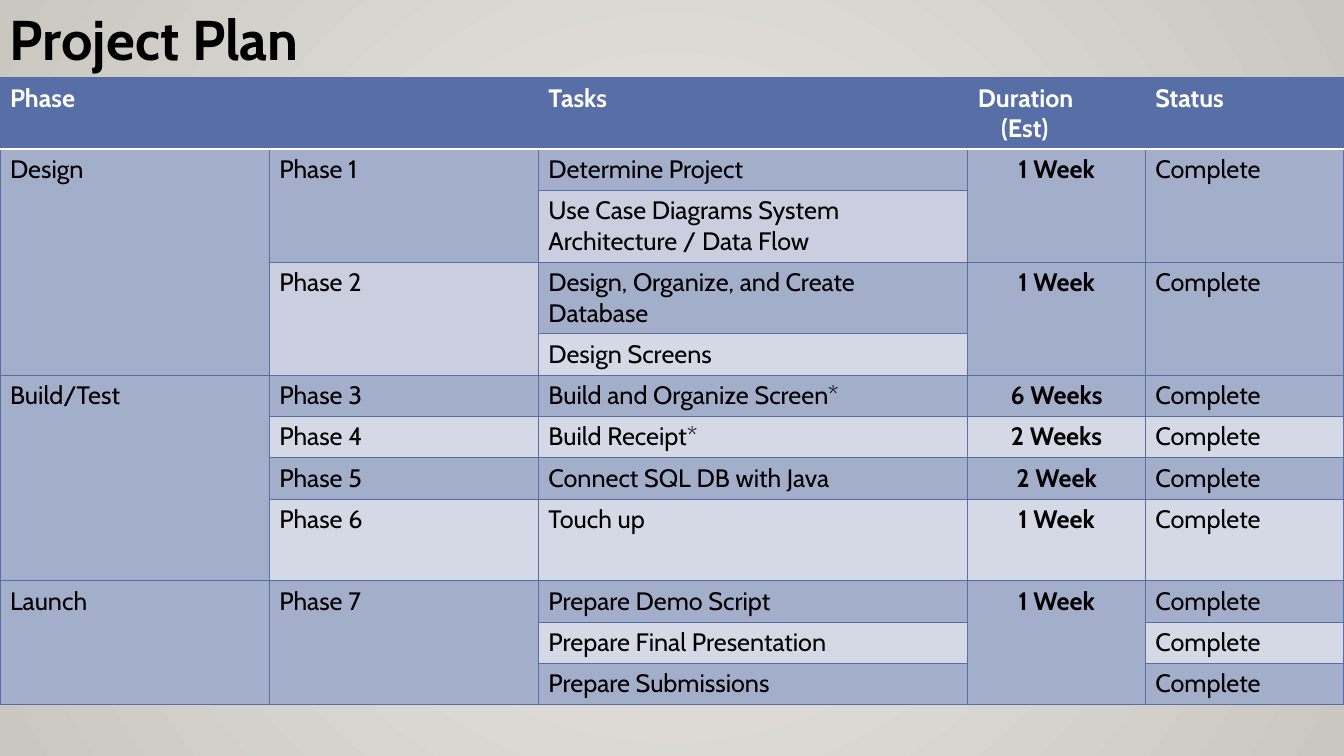
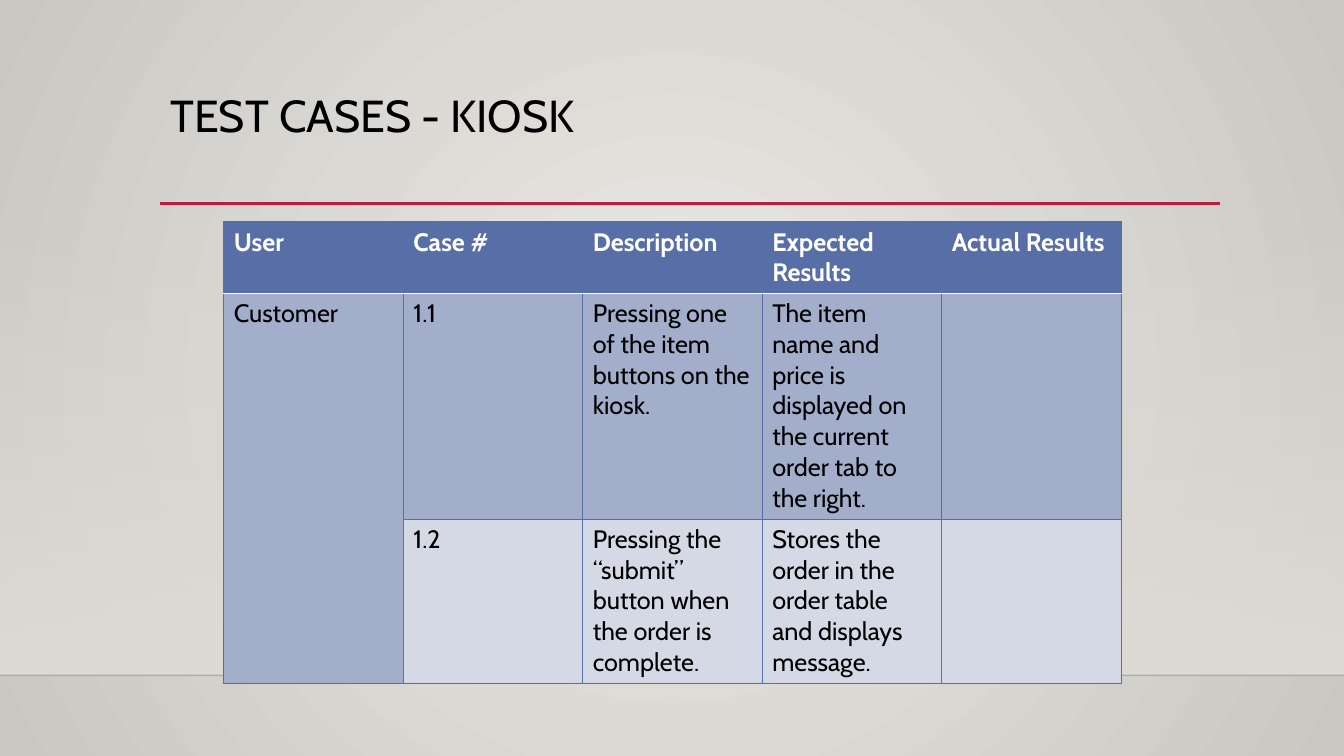
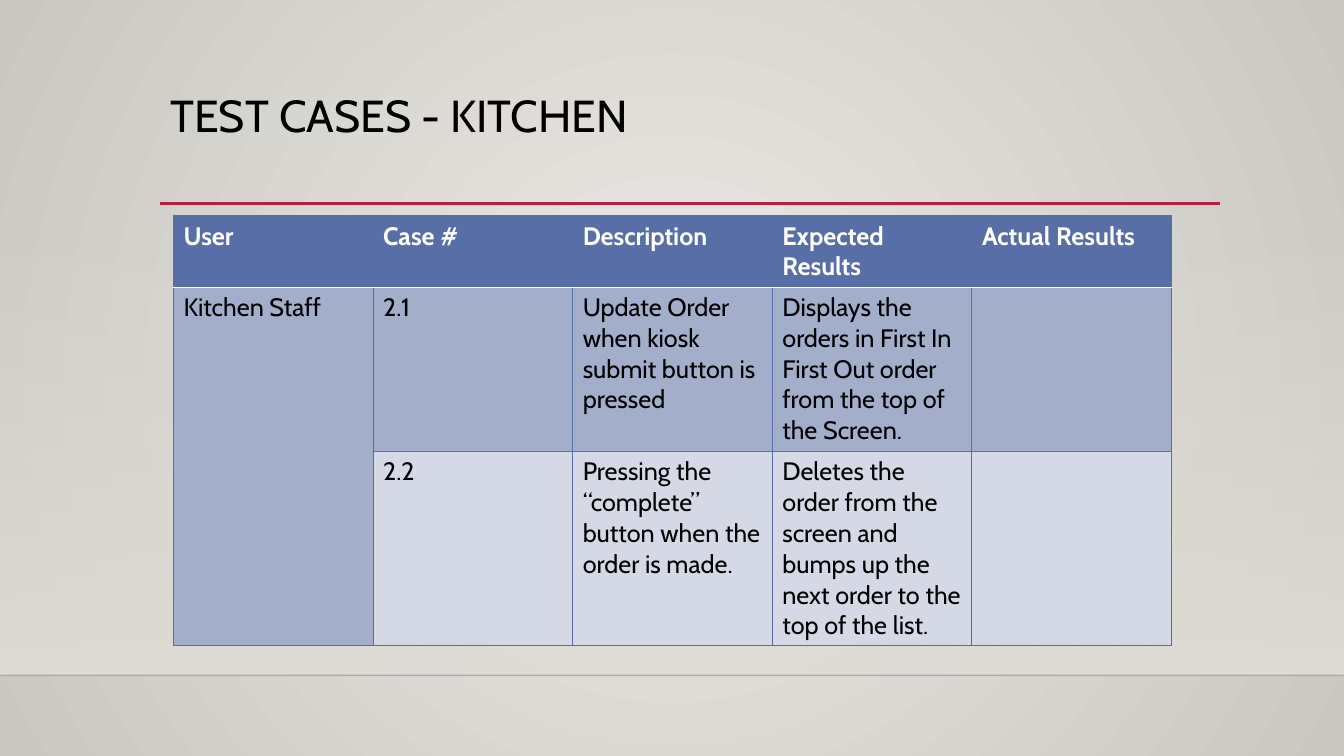
"""Build the project plan and test case slides."""
from dataclasses import dataclass

from lxml.etree import SubElement
from pptx import Presentation
from pptx.dml.color import RGBColor
from pptx.enum.shapes import MSO_CONNECTOR, MSO_SHAPE
from pptx.enum.text import MSO_ANCHOR, PP_ALIGN
from pptx.oxml import parse_xml
from pptx.oxml.ns import nsdecls, qn
from pptx.util import Inches, Pt


@dataclass(frozen=True)
class Theme:
    """Hold the colours and type sizes that all slides share."""

    font: str = "Cabin"
    text: str = "000000"
    header_text: str = "FFFFFF"
    accent: str = "586EA6"
    band_dark: str = "A3AECB"
    band_light: str = "D5D9E5"
    band_middle: str = "CACEDE"
    rule: str = "B71E42"
    floor_line: str = "000001"
    wall: str = "DFDBD5"
    glow: str = "ECEAE7"
    edge: str = "CAC7C1"
    plan_title_size: int = 40
    title_size: int = 32
    table_size: int = 18
    border_width: float = 0.75
    header_border_width: float = 1.25


THEME = Theme()
TEST_HEADER = ("User", "Case #", "Description", "Expected Results", "Actual Results")
PLAN_ROWS = (
    ("Phase", "", "Tasks", "Duration\n(Est)", "Status"),
    ("Design", "Phase 1", "Determine Project", "1 Week", "Complete"),
    (None, None, "Use Case Diagrams System Architecture / Data Flow", None, None),
    (None, "Phase 2", "Design, Organize, and Create Database", "1 Week", "Complete"),
    (None, None, "Design Screens", None, None),
    ("Build/Test", "Phase 3", "Build and Organize Screen*", "6 Weeks", "Complete"),
    (None, "Phase 4", "Build Receipt*", "2 Weeks", "Complete"),
    (None, "Phase 5", "Connect SQL DB with Java", "2 Week", "Complete"),
    (None, "Phase 6", "Touch up", "1 Week", "Complete"),
    ("Launch", "Phase 7", "Prepare Demo Script", "1 Week", "Complete"),
    (None, None, "Prepare Final Presentation", None, "Complete"),
    (None, None, "Prepare Submissions", None, "Complete"),
)
KIOSK_ROWS = (
    TEST_HEADER,
    ("Customer", "1.1", "Pressing one of the item buttons on the kiosk.",
     "The item name and price is displayed on the current order tab to the right.", ""),
    (None, "1.2", "Pressing the “submit” button when the order is complete.",
     "Stores the order in the order table and displays message.", ""),
)
KITCHEN_ROWS = (
    TEST_HEADER,
    ("Kitchen Staff", "2.1", "Update Order when kiosk submit button is pressed",
     "Displays the orders in First In First Out order from the top of the Screen.", ""),
    (None, "2.2", "Pressing the “complete” button when the order is made.",
     "Deletes the order from the screen and bumps up the next order to the top of the list.",
     ""),
)


def apply_format(target, values):
    """Set each named attribute on the target."""
    for name, value in values.items():
        setattr(target, name, value)


def style_font(font, size, color, bold=False):
    """Give a font the theme face with a size, colour and weight."""
    apply_format(font, {"name": THEME.font, "size": Pt(size), "bold": bold})
    font.color.rgb = RGBColor.from_string(color)


def set_alpha(element, percent):
    """Make the first RGB colour inside an element partly transparent."""
    color = next(element.iter(qn("a:srgbClr")))
    SubElement(color, qn("a:alpha")).set("val", str(percent * 1000))


def fill_gradient(fill, colors):
    """Fill with a gradient between two colours."""
    fill.gradient()
    for stop, color in zip(fill.gradient_stops, colors):
        stop.color.rgb = RGBColor.from_string(color)


def add_line(slide, left, right, top, color, width):
    """Draw a horizontal line without a shadow."""
    line = slide.shapes.add_connector(
        MSO_CONNECTOR.STRAIGHT, Inches(left), Inches(top), Inches(right), Inches(top))
    line.line.color.rgb = RGBColor.from_string(color)
    line.line.width = Pt(width)
    SubElement(line.element.spPr, qn("a:effectLst"))
    return line


def add_wall(slide):
    """Draw the wall panel that fades in towards the floor line."""
    wall = slide.shapes.add_shape(
        MSO_SHAPE.RECTANGLE, 0, Inches(2.21), Inches(13.33), Inches(4.49))
    wall.shadow.inherit = False
    wall.line.fill.background()
    fill_gradient(wall.fill, (THEME.wall, THEME.wall))
    wall.fill.gradient_angle = 270
    set_alpha(wall.element, 0)
    return wall


def dress_master(slide):
    """Put the background, wall and lines on the master of a slide."""
    master = slide.slide_layout.slide_master
    fill_gradient(master.background.fill, (THEME.glow, THEME.edge))
    linear = next(master.element.iter(qn("a:lin")))
    linear.getparent().replace(linear, parse_xml(
        f'<a:path {nsdecls("a")} path="circle">'
        '<a:fillToRect l="50000" t="50000" r="50000" b="50000"/></a:path>'))
    wall = add_wall(slide)
    floor = add_line(slide, 0, 13.33, 6.7, THEME.floor_line, 1)
    set_alpha(floor.element, 20)
    rule = add_line(slide, 1.59, 12.1, 2.02, THEME.rule, 2.5)
    for number, shape in enumerate((wall, floor, rule), start=101):
        next(shape.element.iter(qn("p:cNvPr"))).set("id", str(number))
        master.shapes.element.append(shape.element)


def add_title(slide, text, box, size, bold=False, wrap=True, spacing=0.9):
    """Add a title in a text box."""
    frame = slide.shapes.add_textbox(*map(Inches, box)).text_frame
    apply_format(frame, {"word_wrap": wrap, "vertical_anchor": MSO_ANCHOR.TOP})
    paragraph = frame.paragraphs[0]
    apply_format(paragraph, {"text": text, "line_spacing": spacing})
    style_font(paragraph.font, size, THEME.text, bold)


def set_borders(cell, row_index):
    """Draw the four borders of a cell, with a white line under the header."""
    properties = cell._tc.get_or_add_tcPr()
    white_side = {0: "lnB", 1: "lnT"}.get(row_index)
    for position, side in enumerate(("lnL", "lnR", "lnT", "lnB")):
        color, width = THEME.accent, THEME.border_width
        if side == white_side:
            color, width = THEME.header_text, THEME.header_border_width
        properties.insert(position, parse_xml(
            f'<a:{side} {nsdecls("a")} w="{int(Pt(width))}"><a:solidFill>'
            f'<a:srgbClr val="{color}"/></a:solidFill></a:{side}>'))


def write_cell(cell, text, header, strong):
    """Write the text of a cell in its header or body style."""
    cell.text_frame.text = text
    for index, paragraph in enumerate(cell.text_frame.paragraphs):
        color = THEME.header_text if header else THEME.text
        style_font(paragraph.font, THEME.table_size, color, header or strong)
        if strong and not header:
            paragraph.alignment = PP_ALIGN.CENTER
        if index:
            paragraph._p.get_or_add_pPr().set("marL", str(Inches(0.23)))


def add_grid(slide, left, top, widths, heights, rows, strong_column=None, middle_cells=()):
    """Add a banded table in which None continues the cell above."""
    table = slide.shapes.add_table(
        len(rows), len(widths), Inches(left), Inches(top),
        Inches(sum(widths)), Inches(sum(heights))).table
    for column, width in zip(table.columns, widths):
        column.width = Inches(width)
    for row, height in zip(table.rows, heights):
        row.height = Inches(height)
    for column_index in range(len(widths)):
        origin = 0
        for row_index, row in enumerate(rows):
            cell = table.cell(row_index, column_index)
            text = row[column_index]
            if text is not None:
                origin = row_index
                write_cell(cell, text, row_index == 0, column_index == strong_column)
            color = THEME.band_dark if origin % 2 else THEME.band_light
            if origin == 0:
                color = THEME.accent
            elif (origin, column_index) in middle_cells:
                color = THEME.band_middle
            cell.fill.solid()
            cell.fill.fore_color.rgb = RGBColor.from_string(color)
            set_borders(cell, row_index)
            next_row = row_index + 1
            if next_row == len(rows) or rows[next_row][column_index] is not None:
                if origin < row_index:
                    table.cell(origin, column_index).merge(cell)


def add_test_slide(slide, title, left, top, width, heights, rows):
    """Fill a slide with a title and a test case table of equal columns."""
    add_title(slide, title, (1.59, 0.88, 10.5, 1.15), THEME.title_size)
    add_grid(slide, left, top, [width] * len(TEST_HEADER), heights, rows)


def main():
    """Build and save the presentation."""
    presentation = Presentation()
    apply_format(presentation, {"slide_width": Inches(13.33), "slide_height": Inches(7.5)})
    blank = presentation.slide_layouts[6]
    plan, kiosk, kitchen = [presentation.slides.add_slide(blank) for _ in range(3)]
    dress_master(plan)
    plan_heights = [0.71, 0.41, 0.71, 0.71, 0.41, 0.41, 0.41, 0.41, 0.81, 0.41, 0.41, 0.41]
    add_grid(plan, 0, 0.77, [2.67, 2.67, 4.26, 1.76, 1.97], plan_heights, PLAN_ROWS,
             strong_column=3, middle_cells={(2, 2), (3, 1)})
    add_title(plan, "Project Plan", (0, 0, 3.43, 0.77), THEME.plan_title_size,
              bold=True, wrap=False, spacing=1.0)
    add_test_slide(kiosk, "TEST CASES - KIOSK", 2.22, 2.2, 1.78,
                   [0.71, 2.24, 1.63], KIOSK_ROWS)
    add_test_slide(kitchen, "TEST CASES - KITCHEN", 1.72, 2.14, 1.98,
                   [0.71, 1.63, 1.92], KITCHEN_ROWS)
    presentation.save("out.pptx")


if __name__ == "__main__":
    main()
